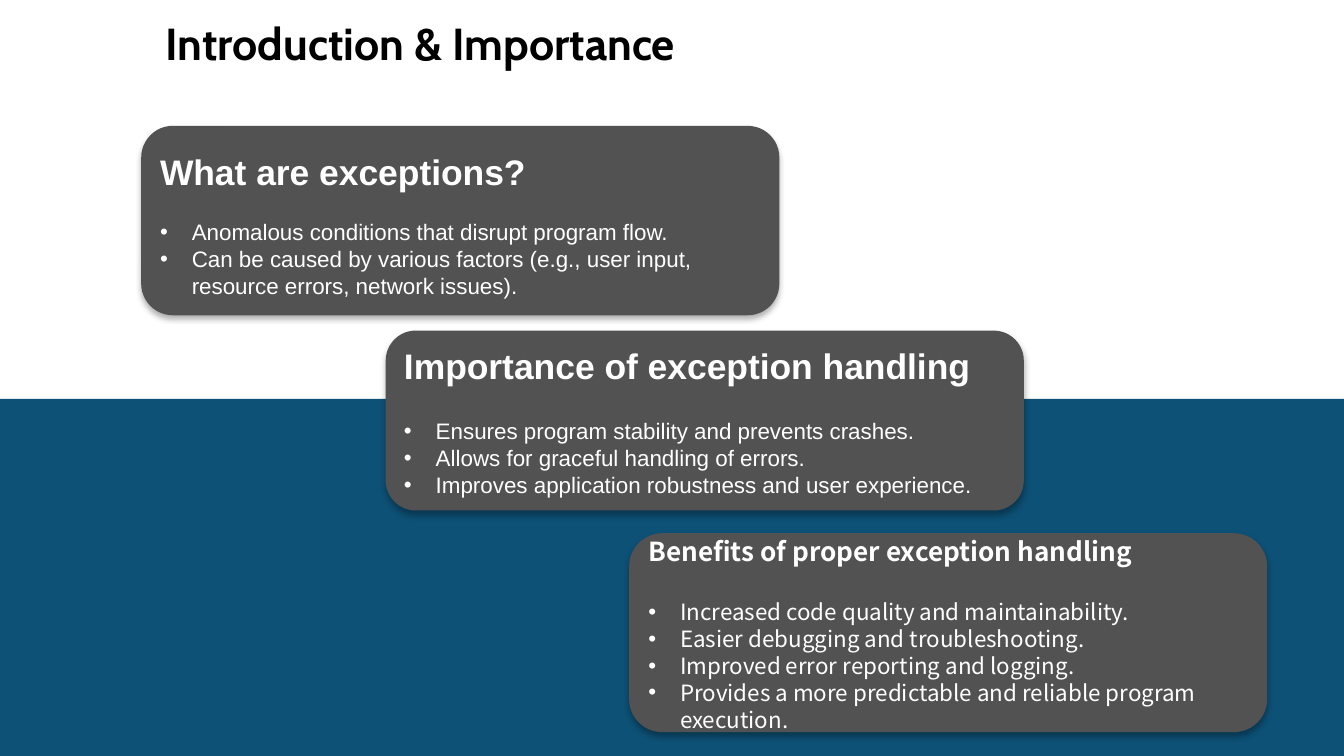
"""Build the slide on the introduction and importance of exception handling."""
from lxml import etree
from pptx import Presentation
from pptx import util as u
from pptx.dml.color import RGBColor
from pptx.enum import shapes, text
from pptx.oxml import ns

WHITE = RGBColor(0xFF, 0xFF, 0xFF)
BLACK = RGBColor(0, 0, 0)
BLUE = RGBColor(0x0D, 0x51, 0x76)
GREY = RGBColor(0x52, 0x52, 0x52)

CARDS = [
    dict(at=(2.67, 2.38, 3.58), font="Arial", size=19, heading_line=31, gap=13.6,
         heading="What are exceptions?",
         points=["Anomalous conditions that disrupt program flow.",
                 "Can be caused by various factors (e.g., user input, "
                 "resource errors, network issues)."]),
    dict(at=(7.29, 6.25, 3.4), font="Arial", size=19, heading_line=25.4, gap=16.5,
         heading="Importance of exception handling",
         points=["Ensures program stability and prevents crashes.",
                 "Allows for graceful handling of errors.",
                 "Improves application robustness and user experience."]),
    dict(at=(11.89, 10.08, 3.76), font="Noto Sans CJK SC", size=14, heading_line=13, gap=16.6,
         heading="Benefits of proper exception handling",
         points=["Increased code quality and maintainability.",
                 "Easier debugging and troubleshooting.",
                 "Improved error reporting and logging.",
                 "Provides a more predictable and reliable program execution."]),
]


def add_block(kind, left, top, width, height, color):
    block = slide.shapes.add_shape(kind, u.Cm(left), u.Cm(top), u.Cm(width), u.Cm(height))
    block.shadow.inherit = False
    block.fill.solid()
    block.fill.fore_color.rgb = color
    block.line.fill.background()
    return block


def write(paragraph, words, color, **font_values):
    run = paragraph.add_run()
    run.text = words
    run.font.color.rgb = color
    for name, value in font_values.items():
        setattr(run.font, name, value)


deck = Presentation()
deck.slide_width, deck.slide_height = u.Cm(25.4), u.Cm(14.29)
slide = deck.slides.add_slide(deck.slide_layouts[6])

add_block(shapes.MSO_SHAPE.RECTANGLE, 0, 7.54, 25.4, 6.75, BLUE)

title = slide.shapes.add_textbox(u.Cm(2.95), u.Cm(0.2), u.Cm(12.45), u.Cm(1.22)).text_frame
frame_format = dict(word_wrap=True, margin_left=u.Cm(0.18), margin_right=u.Cm(0.18),
                    margin_top=u.Cm(0.1), margin_bottom=u.Cm(0.1))
for name, value in frame_format.items():
    setattr(title, name, value)
write(title.paragraphs[0], "Introduction & Importance", BLACK,
      name="Cabin", size=u.Pt(24), bold=True)

card_format = frame_format | dict(margin_top=0, margin_bottom=0,
                                  vertical_anchor=text.MSO_ANCHOR.TOP)
for content in CARDS:
    left, top, height = content["at"]
    card = add_block(shapes.MSO_SHAPE.ROUNDED_RECTANGLE, left, top, 12.06, height, GREY)
    card.adjustments[0] = 0.167
    effects = card._element.spPr.find(ns.qn("a:effectLst"))
    shadow = etree.SubElement(effects, ns.qn("a:outerShdw"), blurRad=str(u.Pt(3.5)),
                              dist=str(u.Pt(2.2)), dir="5400000", rotWithShape="0")
    shade = etree.SubElement(shadow, ns.qn("a:srgbClr"), val=str(BLACK))
    etree.SubElement(shade, ns.qn("a:alpha"), val="31000")

    body = card.text_frame
    for name, value in card_format.items():
        setattr(body, name, value)

    heading = body.paragraphs[0]
    heading.alignment = text.PP_ALIGN.LEFT
    heading.line_spacing = u.Pt(content["heading_line"])
    heading.space_after = u.Pt(content["gap"])
    write(heading, content["heading"], WHITE,
          name=content["font"], size=u.Pt(content["size"]), bold=True)

    for words in content["points"]:
        point = body.add_paragraph()
        point.alignment = text.PP_ALIGN.LEFT
        point.line_spacing = u.Pt(14.4)
        write(point, words, WHITE, name=content["font"], size=u.Pt(12), bold=False)
        layout = point._p.get_or_add_pPr()
        layout.set("marL", str(u.Cm(0.6)))
        layout.set("indent", str(u.Cm(-0.6)))
        bullet_color = etree.SubElement(layout, ns.qn("a:buClr"))
        etree.SubElement(bullet_color, ns.qn("a:srgbClr"), val=str(WHITE))
        etree.SubElement(layout, ns.qn("a:buFont"), typeface="Arial")
        etree.SubElement(layout, ns.qn("a:buChar"), char="•")

deck.save("out.pptx")
